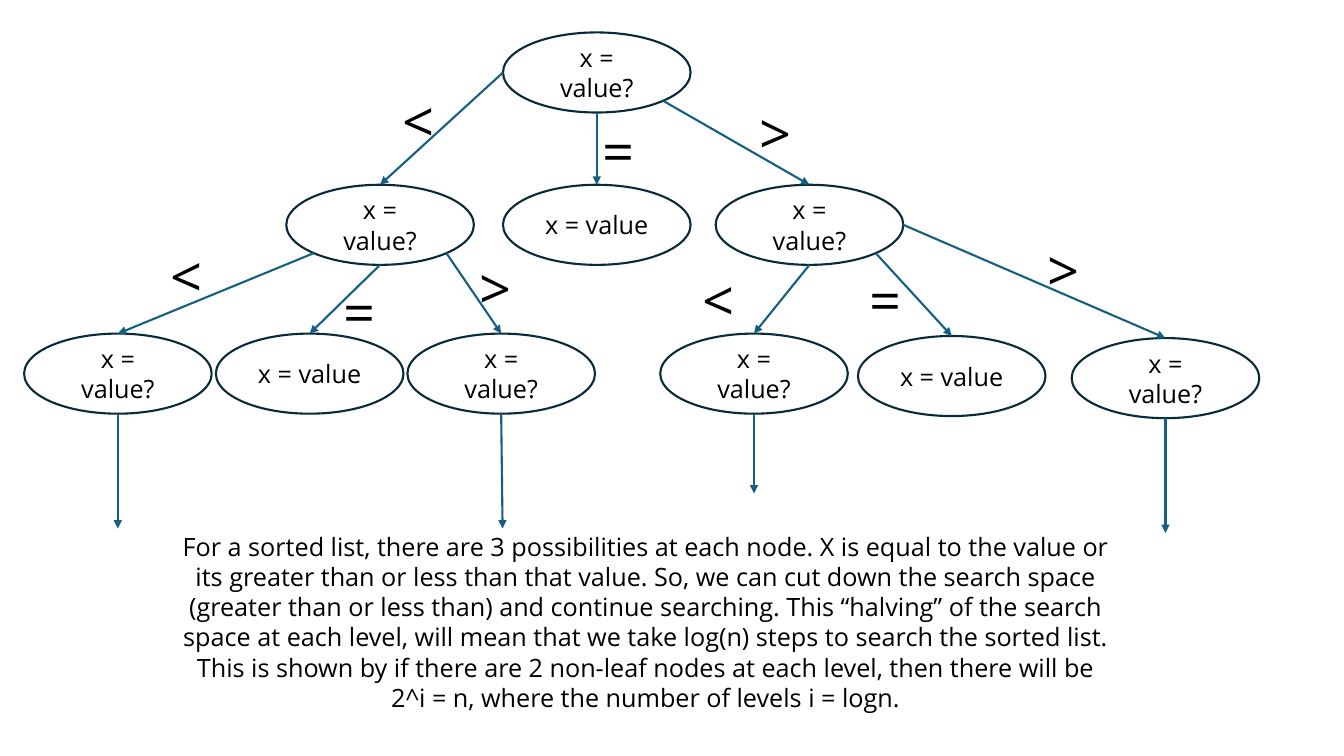
from math import cos, radians, sin

from lxml import etree
from pptx import Presentation
from pptx.dml.color import RGBColor
from pptx.enum import shapes, text
from pptx.oxml import ns
from pptx.util import Pt

# Content
COLOURS = {"outline": "092A39", "arrow": "156082", "text": "000000"}
FONT = "Open Sans"
QUESTION, FOUND = "x = value?", "x = value"

# name: (wording, left, top)
NODES = {
    "root": (QUESTION, 359.3, 23.2),
    "less": (QUESTION, 204.5, 132),
    "equal": (FOUND, 359.3, 132),
    "more": (QUESTION, 511.2, 132),
    "less-less": (QUESTION, 17.2, 238.3),
    "less-equal": (FOUND, 154.2, 238.3),
    "less-more": (QUESTION, 291, 238.3),
    "more-less": (QUESTION, 471.6, 238.3),
    "more-equal": (FOUND, 612.8, 240),
    "more-more": (QUESTION, 765.5, 241.5),
}

# Where an arrow leaves an ellipse, in degrees clockwise from the right
RIGHT, LOWER_RIGHT, BOTTOM, LOWER_LEFT, LEFT = 0, 45, 90, 135, 180

# parent, leaving angle, child, sign, sign left, sign top
BRANCHES = [
    ("root", LEFT, "less", "<", 280.8, 58.3),
    ("root", BOTTOM, "equal", "=", 423.4, 79.9),
    ("root", LOWER_RIGHT, "more", ">", 535.7, 67),
    ("less", LOWER_LEFT, "less-less", "<", 114.5, 169.2),
    ("less", BOTTOM, "less-equal", "=", 238.3, 194.4),
    ("less", LOWER_RIGHT, "less-more", ">", 335.5, 177.8),
    ("more", BOTTOM, "more-less", "<", 494.6, 185.8),
    ("more", LOWER_RIGHT, "more-equal", "=", 614.2, 185.8),
    ("more", RIGHT, "more-more", ">", 740.9, 164.9),
]

# node, sideways drift, length of the arrow to deeper levels
CONTINUATIONS = [
    ("less-less", 0, 82),
    ("less-more", 1, 82),
    ("more-less", 0, 57),
    ("more-more", 0, 82),
]

EXPLANATION = (
    "For a sorted list, there are 3 possibilities at each node. X is equal to "
    "the value or its greater than or less than that value. So, we can cut down "
    "the search space (greater than or less than) and continue searching. This "
    "“halving” of the search space at each level, will mean that we take log(n) "
    "steps to search the sorted list. This is shown by if there are 2 non-leaf "
    "nodes at each level, then there will be 2^i = n, where the number of levels "
    "i = logn."
)

# Sizes
NODE_WIDTH, NODE_HEIGHT = 134, 57.2
SIGN_WIDTH, SIGN_HEIGHT = 36, 55.4
LINE_WIDTH = 1.5


def colour(name):
    return RGBColor.from_string(COLOURS[name])


def write(shape, wording, size):
    shape.text_frame.text = wording
    para = shape.text_frame.paragraphs[0]
    para.alignment = text.PP_ALIGN.CENTER
    font = para.runs[0].font
    font.name, font.size = FONT, Pt(size)
    font.color.rgb = colour("text")


def add_node(page, wording, left, top):
    node = page.shapes.add_shape(
        shapes.MSO_SHAPE.OVAL, Pt(left), Pt(top), Pt(NODE_WIDTH), Pt(NODE_HEIGHT))
    node.shadow.inherit = False
    node.fill.background()
    node.line.color.rgb = colour("outline")
    node.line.width = Pt(LINE_WIDTH)
    node.text_frame.vertical_anchor = text.MSO_ANCHOR.MIDDLE
    write(node, wording, 18)
    return node


def rim(name, angle):
    """Point on a node's outline."""
    _, left, top = NODES[name]
    across = NODE_WIDTH / 2 * (1 + cos(radians(angle)))
    down = NODE_HEIGHT / 2 * (1 + sin(radians(angle)))
    return left + across, top + down


def add_arrow(page, start, end):
    arrow = page.shapes.add_connector(
        shapes.MSO_CONNECTOR.STRAIGHT, *[Pt(value) for value in (*start, *end)])
    arrow.line.color.rgb = colour("arrow")
    arrow.line.width = Pt(LINE_WIDTH)
    properties = arrow._element.spPr
    etree.SubElement(arrow.line._get_or_add_ln(), ns.qn("a:tailEnd"), type="triangle")
    etree.SubElement(properties, ns.qn("a:effectLst"))
    return arrow


def add_text(page, wording, left, top, width, height, size, wrap):
    box = page.shapes.add_textbox(Pt(left), Pt(top), Pt(width), Pt(height))
    box.text_frame.word_wrap = wrap
    box.text_frame.auto_size = text.MSO_AUTO_SIZE.SHAPE_TO_FIT_TEXT
    write(box, wording, size)


def main():
    deck = Presentation()
    deck.slide_width, deck.slide_height = Pt(960), Pt(540)
    page = deck.slides.add_slide(deck.slide_layouts[6])

    # Search tree
    nodes = {name: add_node(page, *node) for name, node in NODES.items()}
    for parent, angle, child, *_ in BRANCHES:
        arrow = add_arrow(page, rim(parent, angle), rim(child, -90))
        arrow.end_connect(nodes[child], 0)

    # Arrows to deeper levels
    for name, drift, length in CONTINUATIONS:
        x, y = rim(name, BOTTOM)
        add_arrow(page, (x, y), (x + drift, y + length))

    # Explanation and comparison signs
    add_text(page, EXPLANATION, 121, 375.8, 680.4, 138.2, 18, True)
    for *_, sign, left, top in BRANCHES:
        add_text(page, sign, left, top, SIGN_WIDTH, SIGN_HEIGHT, 40, False)

    deck.save("out.pptx")


if __name__ == "__main__":
    main()
